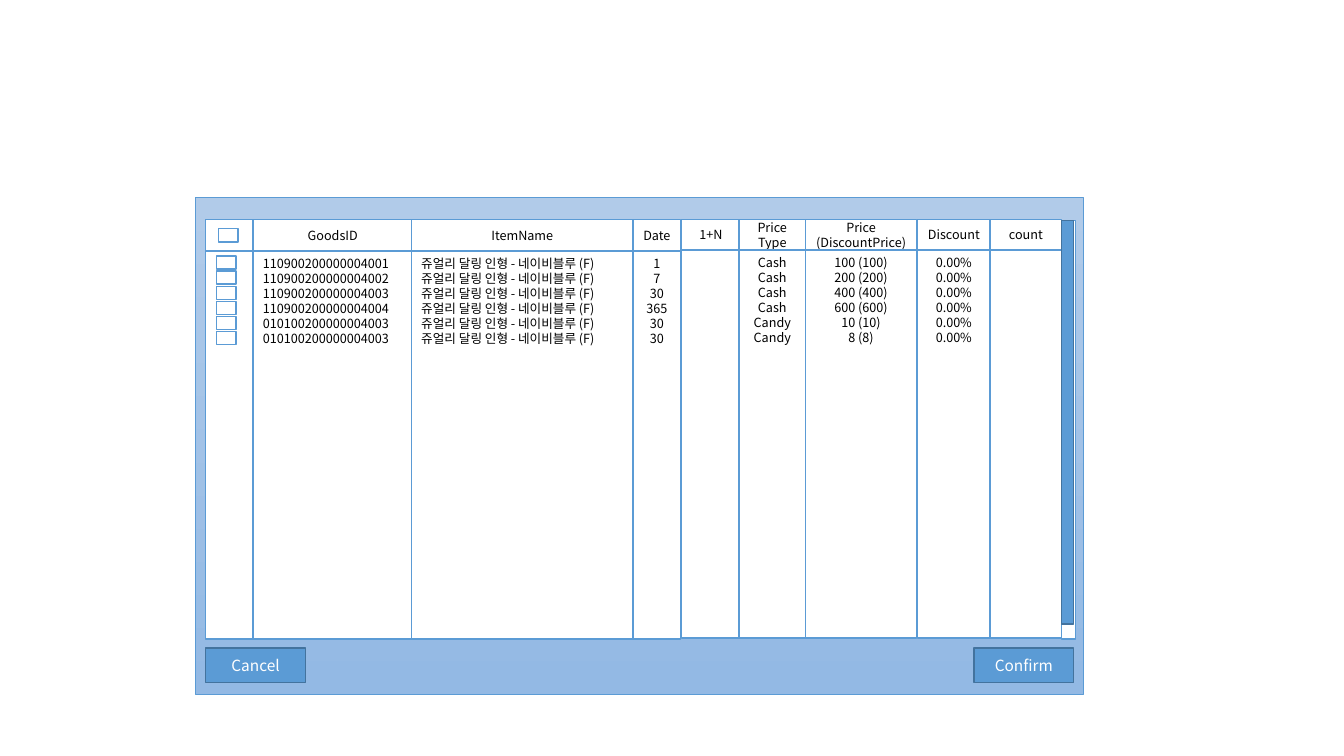
from pptx import Presentation
from pptx.dml.color import RGBColor
from pptx.enum.shapes import MSO_SHAPE
from pptx.enum.text import MSO_ANCHOR, PP_ALIGN
from pptx.util import Inches, Pt

BLUE = RGBColor(0x5B, 0x9B, 0xD5)
DARK_BLUE = RGBColor(0x43, 0x73, 0x9E)
PANEL_TOP = RGBColor(0xB1, 0xCB, 0xE9)
PANEL_BOTTOM = RGBColor(0x93, 0xB9, 0xE4)
WHITE = RGBColor(0xFF, 0xFF, 0xFF)
BLACK = RGBColor(0, 0, 0)
FONT = "Noto Sans CJK KR"

GOODS = ["110900200000004001", "110900200000004002", "110900200000004003",
         "110900200000004004", "010100200000004003", "010100200000004003"]
ITEM = "쥬얼리 달링 인형 - 네이비블루 (F)"

# Left, width, header height, header lines, body lines, body alignment
COLUMNS = [
    (2.51, 1.58, 0.31, ["GoodsID"], GOODS, PP_ALIGN.LEFT),
    (4.08, 2.20, 0.31, ["ItemName"], [ITEM] * 6, PP_ALIGN.LEFT),
    (6.76, 0.58, 0.30, ["1+N"], [], PP_ALIGN.CENTER),
    (9.10, 0.72, 0.30, ["Discount"], ["0.00%"] * 6, PP_ALIGN.CENTER),
    (9.82, 0.71, 0.30, ["count"], [], PP_ALIGN.CENTER),
    (6.28, 0.47, 0.31, ["Date"], ["1", "7", "30", "365", "30", "30"], PP_ALIGN.CENTER),
    (2.04, 0.47, 0.31, [], [], PP_ALIGN.CENTER),
    (7.99, 1.10, 0.30, ["Price", "(DiscountPrice)"],
     ["100 (100)", "200 (200)", "400 (400)", "600 (600)", "10 (10)", "8 (8)"],
     PP_ALIGN.CENTER),
    (7.33, 0.66, 0.30, ["Price", "Type"], ["Cash"] * 4 + ["Candy"] * 2,
     PP_ALIGN.CENTER),
]
BUTTONS = [("Cancel", 2.04), ("Confirm", 9.66)]

HEADER_TOP, BODY_HEIGHT = 2.18, 3.85
CHECK_TOP, CHECK_STEP = 2.54, 0.15
CHECK_SIZE = (0.19, 0.13)


def add_box(page, left, top, width, height, fill=WHITE, line=BLUE, weight=1):
    box = page.shapes.add_shape(MSO_SHAPE.RECTANGLE, Inches(left), Inches(top),
                                Inches(width), Inches(height))
    box.shadow.inherit = False
    box.fill.solid()
    box.fill.fore_color.rgb = fill
    box.line.color.rgb = line
    box.line.width = Pt(weight)
    return box


def write(box, lines, align=PP_ALIGN.CENTER, anchor=MSO_ANCHOR.MIDDLE,
          size=9, color=BLACK, spacing=Pt(10.7)):
    side = Inches(0.1) if align == PP_ALIGN.LEFT else 0
    edge = Inches(0.05) if anchor == MSO_ANCHOR.TOP else 0
    frame = box.text_frame
    frame_format = {"word_wrap": True, "vertical_anchor": anchor,
                    "margin_left": side, "margin_right": side,
                    "margin_top": edge, "margin_bottom": edge}
    for name, value in frame_format.items():
        setattr(frame, name, value)
    for index, text in enumerate(lines):
        para = frame.add_paragraph() if index else frame.paragraphs[0]
        para.alignment = align
        para.line_spacing = spacing
        span = para.add_run()
        span.text = text
        for name, value in {"name": FONT, "size": Pt(size)}.items():
            setattr(span.font, name, value)
        span.font.color.rgb = color


def main():
    deck = Presentation()
    deck.slide_width, deck.slide_height = Inches(13.33), Inches(7.5)
    page = deck.slides.add_slide(deck.slide_layouts[6])

    # Window panel, light at the top
    panel = add_box(page, 1.94, 1.96, 8.81, 4.93, weight=0.5)
    panel.fill.gradient()
    panel.fill.gradient_angle = 270
    for stop, color in zip(panel.fill.gradient_stops, (PANEL_TOP, PANEL_BOTTOM)):
        stop.color.rgb = color

    # Goods list: a header cell and a tall body for each column
    for left, width, height, header, body, align in COLUMNS:
        write(add_box(page, left, HEADER_TOP, width, height), header)
        column = add_box(page, left, HEADER_TOP + height, width, BODY_HEIGHT)
        write(column, body, align, MSO_ANCHOR.TOP)

    # Checkboxes: select all, then one a row
    add_box(page, 2.17, 2.27, *CHECK_SIZE)
    for row in range(len(GOODS)):
        add_box(page, 2.15, CHECK_TOP + row * CHECK_STEP, *CHECK_SIZE)

    # Scroll bar track and thumb
    add_box(page, 10.53, 2.19, 0.14, 4.15)
    add_box(page, 10.53, 2.19, 0.12, 4, BLUE, DARK_BLUE)

    # Buttons
    for label, left in BUTTONS:
        button = add_box(page, left, 6.43, 0.99, 0.34, BLUE, DARK_BLUE)
        write(button, [label], size=11, color=WHITE, spacing=1.0)

    deck.save("out.pptx")


if __name__ == "__main__":
    main()
